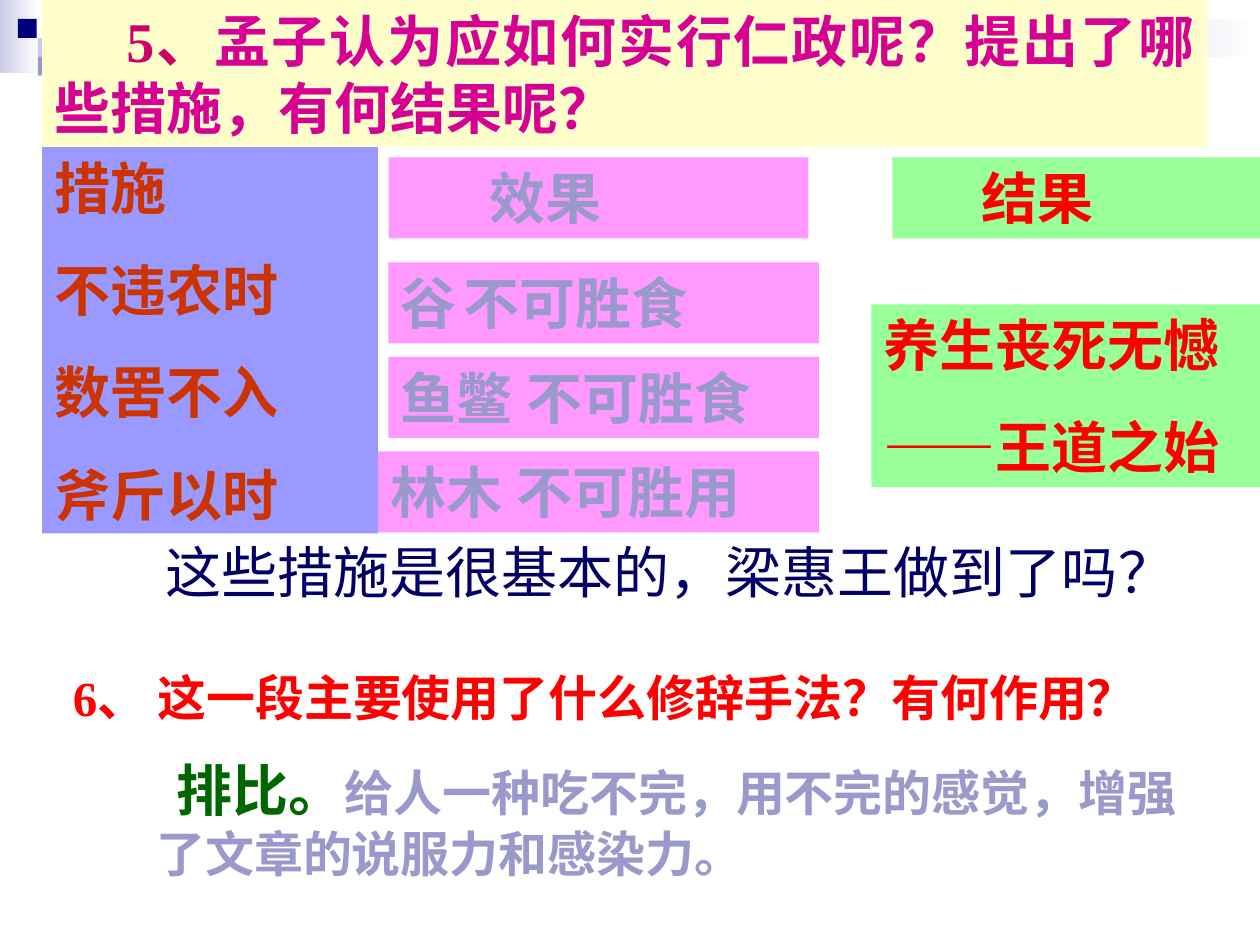
from dataclasses import dataclass

from lxml.etree import SubElement
from pptx import Presentation
from pptx.dml.color import RGBColor
from pptx.enum.shapes import MSO_SHAPE
from pptx.enum.text import MSO_ANCHOR, MSO_AUTO_SIZE, PP_ALIGN
from pptx.oxml.ns import qn
from pptx.util import Inches, Pt


@dataclass(frozen=True)
class Theme:
    font: str = "Times New Roman"
    big: int = 32
    mid: int = 28
    white: str = "FFFFFF"
    navy: str = "00007D"
    ink: str = "000066"
    pale: str = "CCCCE6"
    lilac: str = "9999CC"
    blue: str = "9999FF"
    pink: str = "FF99FF"
    mint: str = "99FF99"
    cream: str = "FFFFCC"
    rust: str = "CC3300"
    red: str = "FF0000"
    rose: str = "CC0066"
    plum: str = "D60093"
    green: str = "006600"


def put(par, text, font, size, color, bold=True):
    run = par.add_run()
    run.text = text
    run.font.name = font
    run.font.size = Pt(size)
    run.font.bold = bold
    run.font.color.rgb = RGBColor.from_string(color)


class Deck:
    """Draws styled parts on one slide, placed on a 120 by 90 grid."""

    def __init__(self, theme):
        self.theme = theme
        self.prs = Presentation()
        self.prs.slide_width, self.prs.slide_height = Inches(10), Inches(7.5)
        self.cell = self.prs.slide_width / 120
        self.slide = self.prs.slides.add_slide(self.prs.slide_layouts[1])
        self.shapes = self.slide.shapes

    def area(self, *box):
        return [round(n * self.cell) for n in box]

    def rect(self, box, fill, fade=None):
        shape = self.shapes.add_shape(MSO_SHAPE.RECTANGLE, *self.area(*box))
        shape.shadow.inherit = False
        shape.line.fill.background()
        if fade:
            shape.fill.gradient()
            shape.fill.gradient_angle = 0
            for stop, tone in zip(shape.fill.gradient_stops, (fill, fade)):
                stop.color.rgb = RGBColor.from_string(tone)
        else:
            self.paint(shape, fill)
        return shape

    def paint(self, shape, fill):
        shape.fill.solid()
        shape.fill.fore_color.rgb = RGBColor.from_string(fill)

    def words(self, shape, lines, size=None, bold=True, indent=0, tab=0, align=PP_ALIGN.LEFT):
        frame = shape.text_frame
        frame.word_wrap = True
        frame.auto_size = MSO_AUTO_SIZE.NONE
        frame.vertical_anchor = MSO_ANCHOR.TOP
        size = size or self.theme.big
        for row, runs in enumerate(lines):
            par = frame.add_paragraph() if row else frame.paragraphs[0]
            props = par._p.get_or_add_pPr()
            props.set("marL", "0")
            props.set("indent", str(Inches(indent)))
            SubElement(props, qn("a:buNone"))
            if tab:
                tabs = SubElement(props, qn("a:tabLst"))
                SubElement(tabs, qn("a:tab"), pos=str(Inches(tab)), algn="l")
            par.alignment = align
            par.space_before = Pt(size * 0.625 if row else 0)
            for text, color, *own in runs:
                put(par, text, self.theme.font, own[0] if own else size, color, bold)

    def panel(self, box, fill, lines, **form):
        self.words(self.rect(box, fill), lines, **form)

    def label(self, box, lines, **form):
        self.words(self.shapes.add_textbox(*self.area(*box)), lines, **form)

    def holder(self, index, box, fill, lines, **form):
        shape = self.slide.placeholders[index]
        shape.left, shape.top, shape.width, shape.height = self.area(*box)
        self.shapes._spTree.append(shape._element)
        self.paint(shape, fill)
        self.words(shape, lines, **form)


def main():
    look = Theme()
    deck = Deck(look)

    deck.rect((0, 0, 3.7, 7), look.pale, look.white)
    deck.rect((5.4, 1.8, 114.6, 3.6), look.navy, look.white)
    for left, top, tone in (
        (7.2, 0, look.pale),
        (3.6, 3.6, look.pale),
        (1.7, 1.8, look.navy),
        (3.6, 5.4, look.lilac),
    ):
        deck.rect((left, top, 1.8, 1.8), tone)

    steps = ("措施", "不违农时", "数罟不入", "斧斤以时")
    deck.holder(1, (4, 14, 32, 36.8), look.blue, [[(step, look.rust)] for step in steps])

    tall = 7.7
    deck.panel((37, 15, 40, tall), look.pink, [[("效果", look.lilac)]], indent=0.7)
    deck.panel((85, 15, 35, tall), look.mint, [[("结果", look.red)]], indent=0.61)

    deck.panel((0, 63, 120, 6.8), look.white,
               [[("6、 这一段主要使用了什么修辞手法？有何作用？", look.red)]],
               size=look.mid, indent=0.48)
    deck.holder(0, (4, 0, 111, 14), look.cream,
                [[("5、", look.rose),
                  ("孟子认为应如何实行仁政呢？提出了哪些措施，有何结果呢？", look.plum)]],
                indent=0.57, align=PP_ALIGN.JUSTIFY)

    gains = ((37, "谷\t不可胜食", 0.76), (37, "鱼鳖\t不可胜食", 1.2), (36, "林木\t不可胜用", 1.2))
    for row, (left, text, tab) in enumerate(gains):
        deck.panel((left, 25 + 9 * row, 78 - left, tall), look.pink,
                   [[(text, look.lilac)]], tab=tab)

    ends = ("养生丧死无憾", "——王道之始")
    deck.panel((83, 29, 37, 17.4), look.mint, [[(end, look.red)] for end in ends])

    deck.label((13.7, 71.4, 102.4, 13.2),
               [[("排比。", look.green, look.big),
                 ("给人一种吃不完，用不完的感觉，增强了文章的说服力和感染力。", look.lilac)]],
               size=look.mid, indent=0.16)
    deck.label((14.6, 50.6, 100.2, tall),
               [[("这些措施是很基本的，梁惠王做到了吗？", look.ink)]], bold=False)

    deck.prs.save("out.pptx")


if __name__ == "__main__":
    main()
